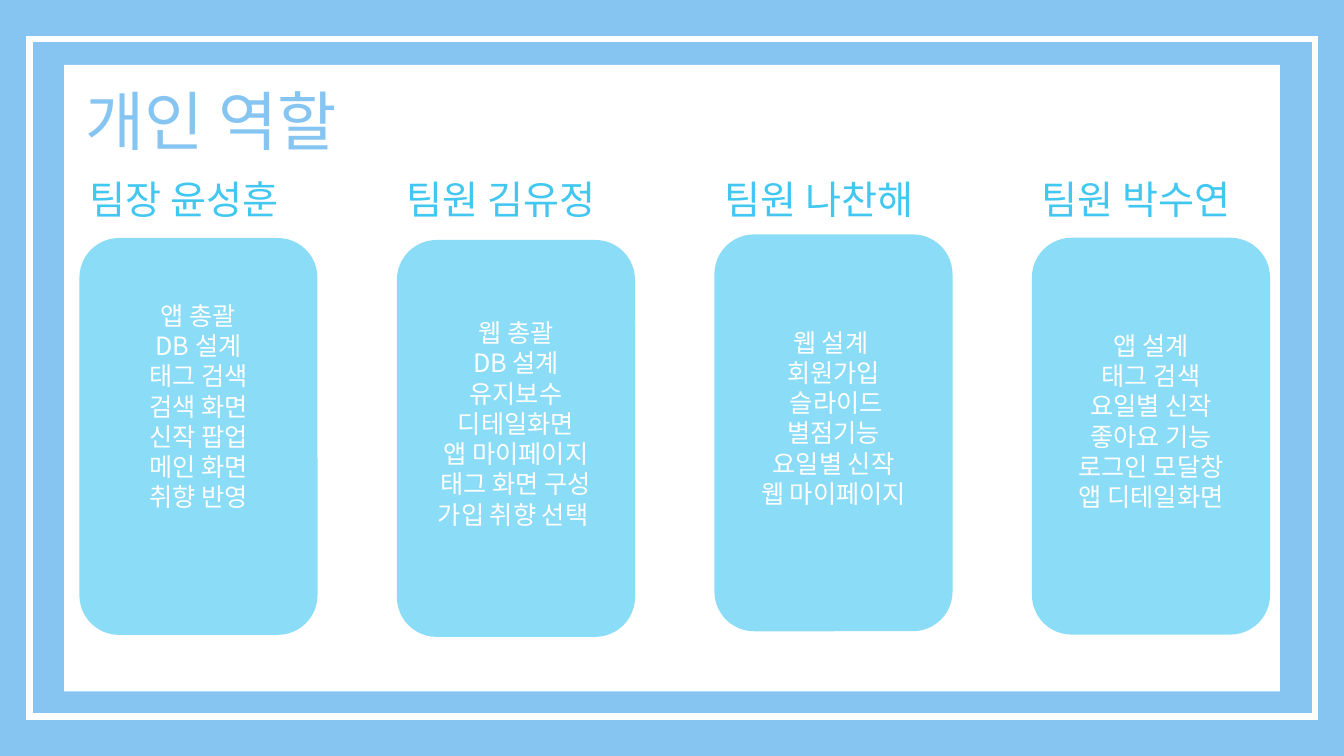
import pptx
import pptx.util
import pptx.dml.color
import pptx.enum.shapes
import pptx.enum.text
import pptx.oxml.ns
import lxml.etree

Pt = pptx.util.Pt
RGB = pptx.dml.color.RGBColor
Shape = pptx.enum.shapes.MSO_SHAPE
Align = pptx.enum.text.PP_ALIGN
Anchor = pptx.enum.text.MSO_ANCHOR
qn = pptx.oxml.ns.qn

FONT = "Noto Sans CJK KR"
SKY = RGB(0x86, 0xC5, 0xF1)
CYAN = RGB(0x42, 0xC7, 0xF1)
WHITE = RGB(0xFF, 0xFF, 0xFF)

LEFT, STEP = 56.7, 226.8
CARD_W, CARD_H = 170.1, 283.5
LINE_H = 21.6

# Heading, card top, lines of room kept below the text, tasks
MEMBERS = [
    ("팀장 윤성훈", 170, 2,
     ["앱 총괄", "DB 설계", "태그 검색", "검색 화면", "신작 팝업",
      "메인 화면", "취향 반영"]),
    ("팀원 김유정", 171.4, 1,
     ["웹 총괄", "DB 설계", "유지보수", "디테일화면", "앱 마이페이지",
      "태그 화면 구성", "가입 취향 선택 "]),
    ("팀원 나찬해", 167.4, 1,
     ["웹 설계 ", "회원가입", " 슬라이드", " 별점기능 ", "요일별 신작",
      "웹 마이페이지"]),
    ("팀원 박수연", 169.8, 1,
     ["앱 설계", "태그 검색", "요일별 신작", "좋아요 기능",
      "로그인 모달창", "앱 디테일화면"]),
]


def add_form(kind, x, y, w, h, fill=None, line=None, weight=0.75):
    """Add a shape without shadow; no colour means no fill or no line."""
    form = slide.shapes.add_shape(kind, Pt(x), Pt(y), Pt(w), Pt(h))
    form.shadow.inherit = False
    if fill is None:
        form.fill.background()
    else:
        form.fill.solid()
        form.fill.fore_color.rgb = fill
    if line is None:
        form.line.fill.background()
    else:
        form.line.color.rgb = line
        form.line.width = Pt(weight)
        edge = form._element.spPr.find(qn("a:ln"))
        lxml.etree.SubElement(edge, qn("a:miter"), lim="800000")
    return form


def write(frame, lines, size, color, align=Align.LEFT):
    """Fill a text frame, setting the font for Latin and Korean letters."""
    frame.text = "\n".join(lines)
    for para in frame.paragraphs:
        para.alignment = align
        para.font.size = Pt(size)
        para.font.color.rgb = color
        para.font.name = FONT
        props = para._p.pPr.find(qn("a:defRPr"))
        lxml.etree.SubElement(props, qn("a:ea"), typeface=FONT)


deck = pptx.Presentation()
deck.slide_width, deck.slide_height = Pt(960), Pt(540)
slide = deck.slides.add_slide(deck.slide_layouts[6])
slide.background.fill.solid()
slide.background.fill.fore_color.rgb = SKY

add_form(Shape.RECTANGLE, 45.8, 46.4, 868.4, 447.4, fill=WHITE)
add_form(Shape.RECTANGLE, 21, 28.1, 918.2, 483.8, line=WHITE, weight=4.5)

title = slide.shapes.add_textbox(Pt(54), Pt(54.7), Pt(442.8), Pt(62))
title.text_frame.word_wrap = True
write(title.text_frame, ["개인 역할"], 46, SKY)

for col, (name, top, room, tasks) in enumerate(MEMBERS):
    x = LEFT + col * STEP
    card = add_form(Shape.ROUNDED_RECTANGLE, x, top, CARD_W, CARD_H, fill=CYAN)
    tint = card.fill._xPr.find(qn("a:solidFill"))[0]
    lxml.etree.SubElement(tint, qn("a:alpha"), val="61000")
    frame = card.text_frame
    frame.word_wrap = True
    frame.vertical_anchor = Anchor.MIDDLE
    frame.margin_bottom = Pt(3.6 + room * LINE_H)
    write(frame, tasks, 18, WHITE, Align.CENTER)

    label = add_form(Shape.RECTANGLE, x, 121.7, 167, 41, fill=WHITE, line=WHITE)
    label.text_frame.word_wrap = False
    label.text_frame.vertical_anchor = Anchor.TOP
    write(label.text_frame, [name], 28, CYAN)

deck.save("out.pptx")
